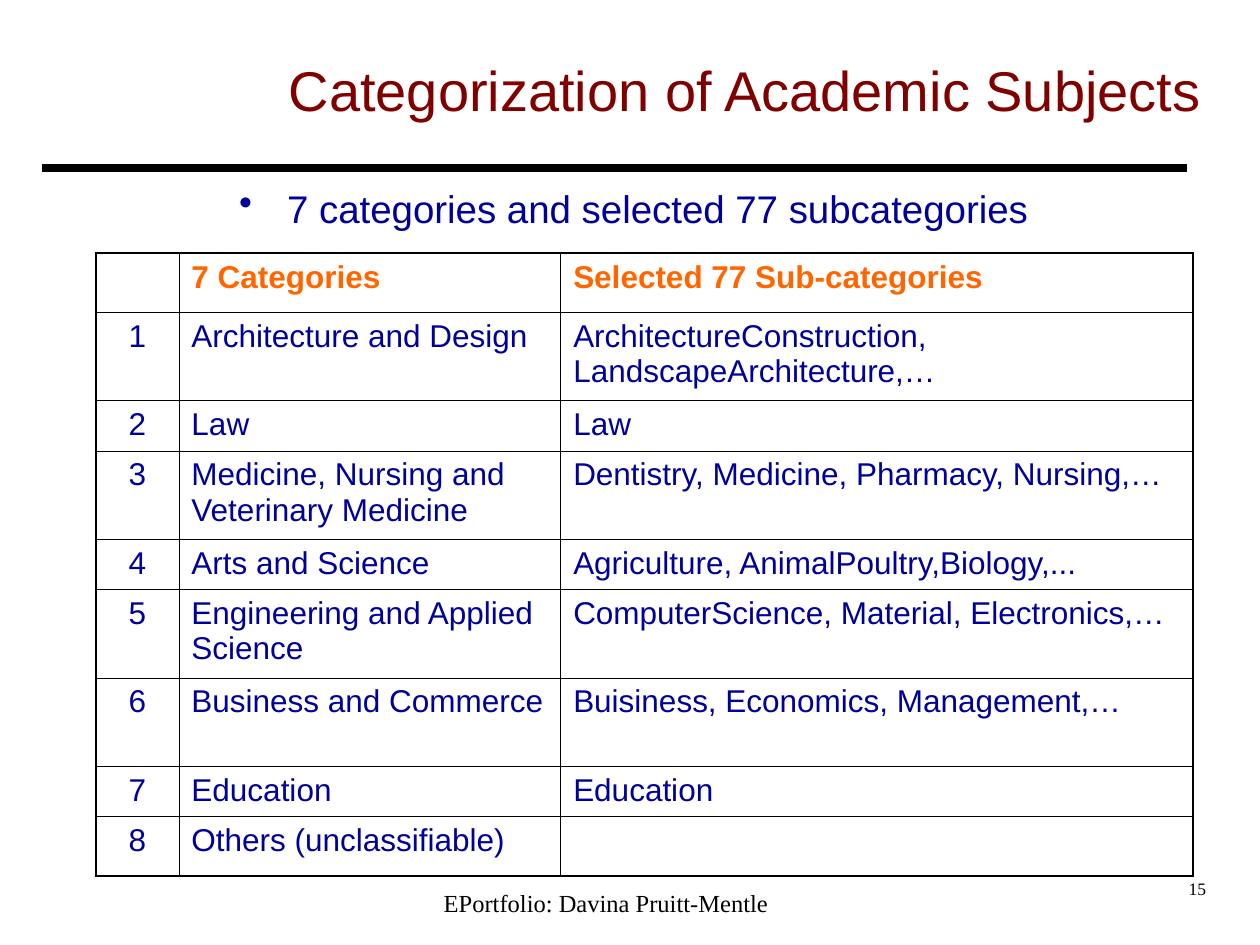
import pptx
import pptx.util
import pptx.dml.color
import pptx.enum.shapes
import pptx.enum.text
import pptx.oxml
from lxml import etree
from pptx.util import Inches, Pt

COLORS = {"title": "800000", "body": "000099", "header": "FF6600", "ink": "000000"}
ALIGN = pptx.enum.text.PP_ALIGN
ANCHOR = pptx.enum.text.MSO_ANCHOR

# text, (left, top, width, height), size, font, colour, alignment, anchor
TITLE = ("Categorization of Academic Subjects", (1.83, 0.17, 8.17, 1.08),
         32, "Arial", "title", ALIGN.CENTER, ANCHOR.MIDDLE)
SUMMARY = ("7 categories and selected 77 subcategories", (0.77, 1.36, 8.52, 0.58),
           22, "Arial", "body", ALIGN.CENTER, ANCHOR.MIDDLE)
FOOTER = ("EPortfolio: Davina Pruitt-Mentle ", (3.25, 7, 3.17, 0.33),
          14, "Times New Roman", "ink", ALIGN.CENTER, ANCHOR.TOP)
PAGE_NUMBER = ("15", (7.42, 6.92, 2.25, 0.42),
               10, "Times New Roman", "ink", ALIGN.RIGHT, ANCHOR.TOP)

HEADER = ("", "7 Categories", "Selected 77 Sub-categories")
SUBJECTS = [
    ("Architecture and Design", "ArchitectureConstruction, LandscapeArchitecture,…"),
    ("Law", "Law"),
    ("Medicine, Nursing and Veterinary Medicine",
     "Dentistry, Medicine, Pharmacy, Nursing,…"),
    ("Arts and Science", "Agriculture, AnimalPoultry,Biology,..."),
    ("Engineering and Applied Science", "ComputerScience, Material, Electronics,…"),
    ("Business and Commerce", "Buisiness, Economics, Management,…"),
    ("Education", "Education"),
    ("Others (unclassifiable)", ""),
]
COLUMN_WIDTHS = (0.66, 3.03, 5.02)
ROW_HEIGHTS = (0.47, 0.7, 0.4, 0.7, 0.4, 0.7, 0.7, 0.4, 0.47)
INNER_BORDER, OUTER_BORDER = 0.45, 1.08


def style_font(font, size, name, color, bold=False):
    """Set size, typeface, colour and weight of a font."""
    font.size, font.name, font.bold = Pt(size), name, bold
    font.color.rgb = pptx.dml.color.RGBColor.from_string(COLORS[color])


def add_text(page, text, place, size, name, color, align, anchor):
    """Add a one-paragraph text box and return its paragraph."""
    box = page.shapes.add_textbox(*map(Inches, place))
    frame = box.text_frame
    frame.word_wrap = True
    frame.vertical_anchor = anchor
    frame.text = text
    para = frame.paragraphs[0]
    para.alignment = align
    style_font(para.runs[0].font, size, name, color)
    return para


def add_bullet(para, indent):
    """Give a paragraph a round bullet with a hanging indent."""
    props = para._p.get_or_add_pPr()
    props.set("marL", str(Inches(indent)))
    props.set("indent", str(-Inches(indent)))
    bullet = etree.SubElement(props, pptx.oxml.ns.qn("a:buChar"))
    bullet.set("char", "•")


def add_rule(page):
    """Draw the heavy rule below the title."""
    rule = page.shapes.add_connector(
        pptx.enum.shapes.MSO_CONNECTOR.STRAIGHT,
        Inches(0.33), Inches(1.33), Inches(9.42), Inches(1.33))
    rule.line.width = Pt(4.5)
    rule.line.color.rgb = pptx.dml.color.RGBColor.from_string(COLORS["ink"])
    etree.SubElement(rule._element.spPr, pptx.oxml.ns.qn("a:effectLst"))


def set_borders(cell, outer_sides):
    """Draw all four borders, heavier on the table's outer sides."""
    props = cell._tc.get_or_add_tcPr()
    for side in "LRTB":
        width = OUTER_BORDER if side in outer_sides else INNER_BORDER
        line = etree.SubElement(props, pptx.oxml.ns.qn("a:ln" + side))
        line.set("w", str(Pt(width)))
        fill = etree.SubElement(line, pptx.oxml.ns.qn("a:solidFill"))
        etree.SubElement(fill, pptx.oxml.ns.qn("a:srgbClr")).set("val", COLORS["ink"])


def add_subject_table(page):
    """Add the table of categories and their sub-categories."""
    rows = [HEADER] + [(str(number), *subject)
                       for number, subject in enumerate(SUBJECTS, 1)]
    last_row, last_column = len(rows) - 1, len(HEADER) - 1
    frame = page.shapes.add_table(
        len(rows), len(HEADER), Inches(0.76), Inches(2.01),
        Inches(sum(COLUMN_WIDTHS)), Inches(sum(ROW_HEIGHTS)))
    table = frame.table
    table.first_row = table.horz_banding = False
    for column, width in zip(table.columns, COLUMN_WIDTHS):
        column.width = Inches(width)
    for row, height in zip(table.rows, ROW_HEIGHTS):
        row.height = Inches(height)
    for r, texts in enumerate(rows):
        for c, text in enumerate(texts):
            cell = table.cell(r, c)
            edges = {"L": c == 0, "R": c == last_column, "T": r == 0, "B": r == last_row}
            set_borders(cell, [side for side, outer in edges.items() if outer])
            cell.fill.background()
            cell.text = text
            para = cell.text_frame.paragraphs[0]
            para.alignment = ALIGN.CENTER if c == 0 else ALIGN.LEFT
            for span in para.runs:
                style_font(span.font, 18, "Arial", "body" if r else "header", r == 0)


deck = pptx.Presentation()
deck.slide_width, deck.slide_height = Inches(10), Inches(7.5)
page = deck.slides.add_slide(deck.slide_layouts[6])
add_rule(page)
add_text(page, *TITLE)
add_bullet(add_text(page, *SUMMARY), 0.38)
add_subject_table(page)
add_text(page, *FOOTER)
add_text(page, *PAGE_NUMBER)
deck.save("out.pptx")
